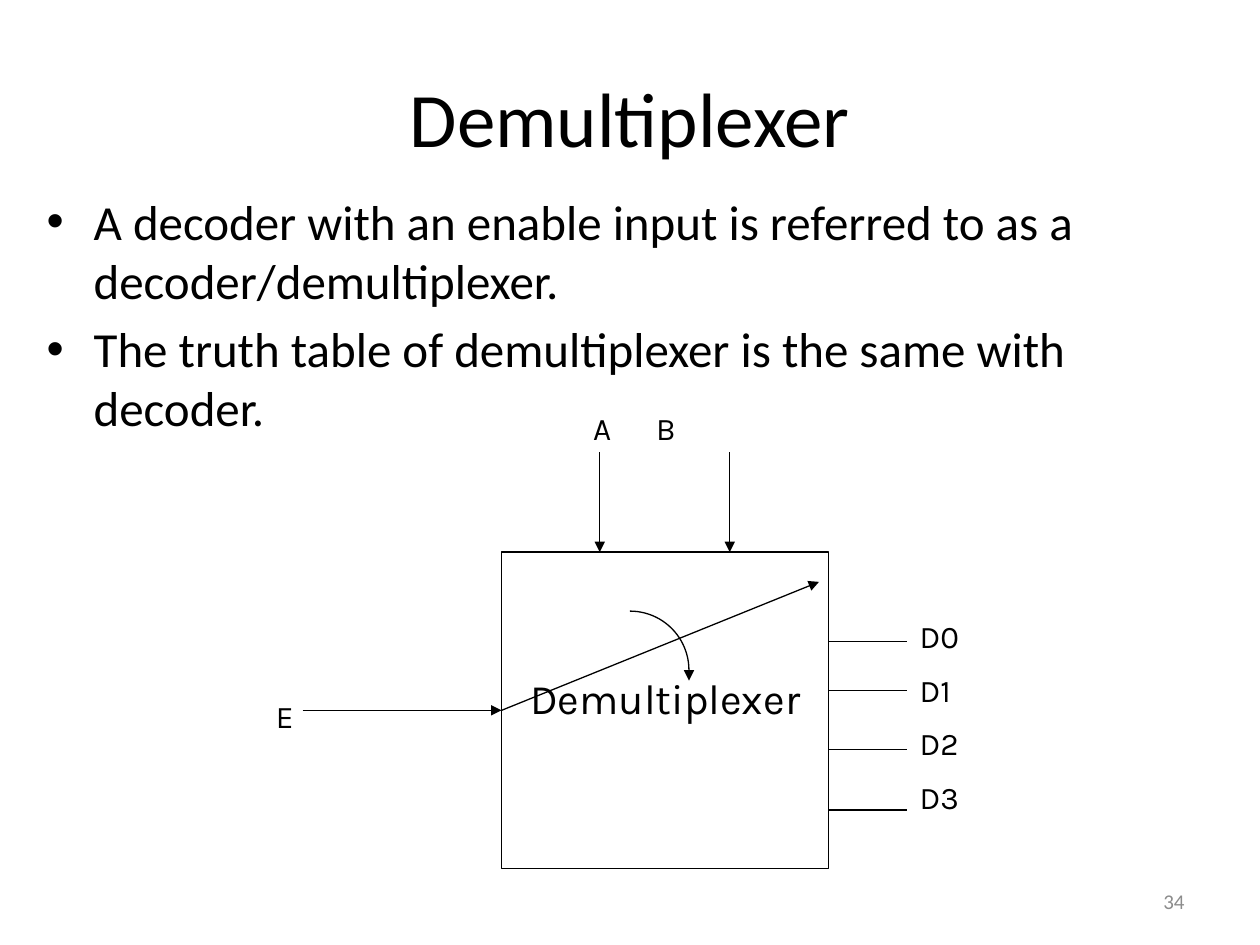
from dataclasses import dataclass
from typing import Optional

from pptx import Presentation
from pptx.dml.color import RGBColor
from pptx.enum.shapes import MSO_CONNECTOR, MSO_SHAPE
from pptx.enum.text import MSO_ANCHOR, PP_ALIGN
from pptx.oxml.ns import qn
from pptx.util import Cm, Pt
from lxml.etree import SubElement


@dataclass(frozen=True)
class Theme:
    black: RGBColor = RGBColor(0, 0, 0)
    gray: RGBColor = RGBColor(0x8C, 0x8C, 0x8C)
    text_font: str = "Calibri"
    diagram_font: str = "Karla"
    title_size: int = 44
    body_size: int = 28
    block_size: int = 24
    label_size: int = 18
    number_size: int = 12
    line_width: float = 0.75


@dataclass(frozen=True)
class Area:
    left: float
    top: float
    width: float
    height: float

    @property
    def right(self) -> float:
        return self.left + self.width

    @property
    def middle(self) -> float:
        return self.top + self.height / 2

    def lengths(self) -> tuple:
        return Cm(self.left), Cm(self.top), Cm(self.width), Cm(self.height)


@dataclass(frozen=True)
class Wire:
    start: tuple[float, float]
    end: tuple[float, float]
    arrow: bool = False
    start_side: Optional[int] = None
    end_side: Optional[int] = None


THEME = Theme()
LEFT_SIDE = 1
BLOCK = Area(10.11, 11.13, 6.6, 6.38)
SELECT_TOP = 9.12
OUTPUT_END = 18.29
ARC = Area(11.51, 12.32, 2.38, 2.38)
ENABLE = (BLOCK.left, BLOCK.middle)

WIRES = [
    Wire((6.1, BLOCK.middle), ENABLE, arrow=True, end_side=LEFT_SIDE),
    *[Wire((x, SELECT_TOP), (x, BLOCK.top), arrow=True) for x in (12.09, 14.71)],
    *[Wire((BLOCK.right, y), (OUTPUT_END, y)) for y in (12.93, 13.92, 15.11, 16.33)],
    Wire(ENABLE, (16.51, 11.73), arrow=True, start_side=LEFT_SIDE),
    Wire((ARC.right, ARC.middle), (ARC.right, ARC.middle + 0.21), arrow=True),
]


def write_text(shape, text: str, *, size: int, font: str = THEME.text_font,
               color: RGBColor = THEME.black, align=PP_ALIGN.LEFT,
               anchor=MSO_ANCHOR.TOP, gap: float = 0, bullet: bool = False,
               wrap: bool = True) -> None:
    frame = shape.text_frame
    frame.word_wrap = wrap
    frame.vertical_anchor = anchor
    for index, line in enumerate(text.split("\n")):
        para = frame.add_paragraph() if index else frame.paragraphs[0]
        para.alignment = align
        if index:
            para.space_before = Pt(gap * size)
        if bullet:
            properties = para._p.get_or_add_pPr()
            properties.set("marL", str(Cm(0.95)))
            properties.set("indent", str(-Cm(0.95)))
            SubElement(properties, qn("a:buFont"), typeface="Arial")
            SubElement(properties, qn("a:buChar"), char="•")
        span = para.add_run()
        span.text = line
        span.font.name = font
        span.font.size = Pt(size)
        span.font.color.rgb = color


def add_text(page, area: Area, text: str, **style) -> None:
    write_text(page.shapes.add_textbox(*area.lengths()), text, **style)


def add_outline(page, kind, area: Area):
    shape = page.shapes.add_shape(kind, *area.lengths())
    shape.shadow.inherit = False
    shape.fill.background()
    shape.line.color.rgb = THEME.black
    shape.line.width = Pt(THEME.line_width)
    return shape


def add_wire(page, wire: Wire, block) -> None:
    points = [Cm(value) for value in (*wire.start, *wire.end)]
    connector = page.shapes.add_connector(MSO_CONNECTOR.STRAIGHT, *points)
    if wire.start_side is not None:
        connector.begin_connect(block, wire.start_side)
    if wire.end_side is not None:
        connector.end_connect(block, wire.end_side)
    connector.line.color.rgb = THEME.black
    connector.line.width = Pt(THEME.line_width)
    if wire.arrow:
        SubElement(connector.line._get_or_add_ln(), qn("a:tailEnd"), type="triangle")
    SubElement(connector._element.spPr, qn("a:effectLst"))


def add_diagram(page) -> None:
    block = add_outline(page, MSO_SHAPE.RECTANGLE, BLOCK)
    write_text(block, "Demultiplexer", size=THEME.block_size,
               font=THEME.diagram_font, align=PP_ALIGN.CENTER)
    block.text_frame.margin_top = Cm(2.42)
    for wire in WIRES:
        add_wire(page, wire, block)
    add_outline(page, MSO_SHAPE.ARC, ARC)

    label = {"size": THEME.label_size, "font": THEME.diagram_font}
    add_text(page, Area(OUTPUT_END, 12.32, 1.4, 4.47), "D0\nD1\nD2\nD3", gap=0.5, **label)
    add_text(page, Area(5.31, 13.92, 0.79, 1.02), "E", wrap=False, **label)
    add_text(page, Area(11.71, 8.13, 3.81, 1.02), "A\tB", **label)


def main() -> None:
    deck = Presentation()
    deck.slide_width, deck.slide_height = Cm(25.4), Cm(19.05)
    page = deck.slides.add_slide(deck.slide_layouts[6])
    add_text(page, Area(1.27, 0.76, 22.86, 3.18), "Demultiplexer",
             size=THEME.title_size, align=PP_ALIGN.CENTER, anchor=MSO_ANCHOR.MIDDLE)
    add_text(page, Area(0.69, 3.73, 24.18, 5.38),
             "A decoder with an enable input is referred to as a decoder/demultiplexer.\n"
             "The truth table of demultiplexer is the same with decoder.",
             size=THEME.body_size, gap=0.2, bullet=True)
    add_text(page, Area(18.21, 17.65, 5.92, 1.02), "34", size=THEME.number_size,
             color=THEME.gray, align=PP_ALIGN.RIGHT, anchor=MSO_ANCHOR.MIDDLE)
    add_diagram(page)
    deck.save("out.pptx")


if __name__ == "__main__":
    main()
